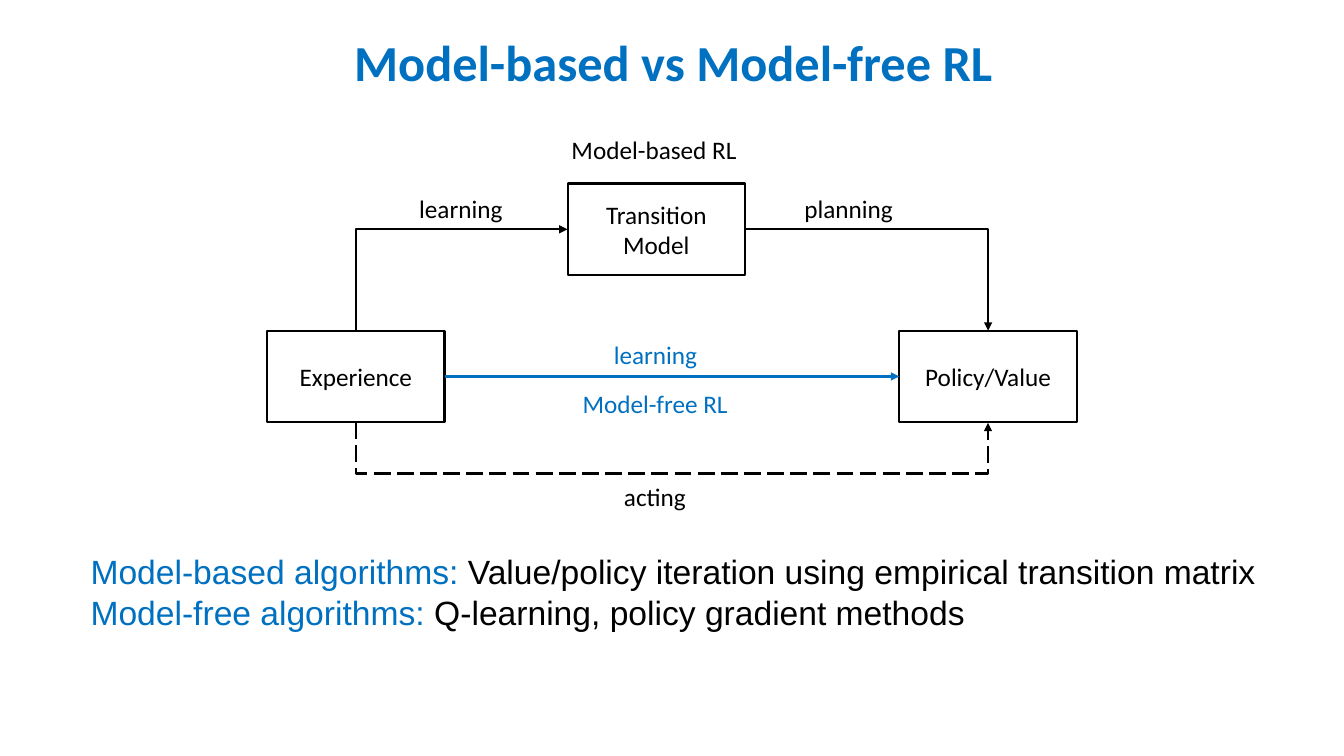
from dataclasses import dataclass

import pptx
import pptx.dml.color
import pptx.enum.dml
import pptx.enum.shapes
import pptx.enum.text
import pptx.oxml
import pptx.oxml.ns
import pptx.util
from pptx.util import Inches

TOP, LEFT, BOTTOM, RIGHT = range(4)
ALIGN = pptx.enum.text.PP_ALIGN
CONNECTOR = pptx.enum.shapes.MSO_CONNECTOR


@dataclass(frozen=True)
class Theme:
    blue: str = "0070C0"
    black: str = "000000"
    white: str = "FFFFFF"
    heading_font: str = "Calibri"
    body_font: str = "Arial"
    title_size: int = 36
    body_size: int = 24
    diagram_size: int = 18
    line_width: float = 1.5


THEME = Theme()
BOX_WIDTH, BOX_HEIGHT = 1.76, 0.91


def rgb(color):
    return pptx.dml.color.RGBColor.from_string(color)


def format_run(run, size, color, font=THEME.heading_font, bold=False):
    run.font.size = pptx.util.Pt(size)
    run.font.name = font
    run.font.bold = bold
    run.font.color.rgb = rgb(color)


def add_title(slide, text):
    textbox = slide.shapes.add_textbox(Inches(0.68), Inches(0.26), Inches(12), Inches(0.71))
    textbox.text_frame.word_wrap = True
    textbox.text_frame.text = text
    paragraph = textbox.text_frame.paragraphs[0]
    paragraph.alignment = ALIGN.CENTER
    format_run(paragraph.runs[0], THEME.title_size, THEME.blue, bold=True)


def add_summary(slide, lines):
    """Add one paragraph per (blue term, black explanation) pair."""
    textbox = slide.shapes.add_textbox(Inches(0.68), Inches(5.42), Inches(12), Inches(0.91))
    frame = textbox.text_frame
    frame.word_wrap = True
    for index, parts in enumerate(lines):
        paragraph = frame.add_paragraph() if index else frame.paragraphs[0]
        paragraph._p.get_or_add_pPr().set("marL", str(Inches(0.12)))
        for text, color in zip(parts, (THEME.blue, THEME.black)):
            run = paragraph.add_run()
            run.text = text
            format_run(run, THEME.body_size, color, THEME.body_font)


def add_box(slide, left, top, text):
    box = slide.shapes.add_shape(
        pptx.enum.shapes.MSO_SHAPE.RECTANGLE,
        Inches(left), Inches(top), Inches(BOX_WIDTH), Inches(BOX_HEIGHT))
    box.shadow.inherit = False
    box.fill.solid()
    box.fill.fore_color.rgb = rgb(THEME.white)
    box.line.color.rgb = rgb(THEME.black)
    box.line.width = pptx.util.Pt(THEME.line_width)
    frame = box.text_frame
    frame.word_wrap = True
    frame.vertical_anchor = pptx.enum.text.MSO_ANCHOR.MIDDLE
    frame.text = text
    frame.paragraphs[0].alignment = ALIGN.CENTER
    format_run(frame.paragraphs[0].runs[0], THEME.diagram_size, THEME.black)
    return box


def add_label(slide, left, top, width, text, color=THEME.black):
    label = slide.shapes.add_textbox(Inches(left), Inches(top), Inches(width), Inches(0.4))
    label.text_frame.word_wrap = False
    label.text_frame.text = text
    format_run(label.text_frame.paragraphs[0].runs[0], THEME.diagram_size, color)


def add_arrow(slide, kind, begin, end, color=THEME.black, arrow_end="tailEnd"):
    """Join two (box, side) sites; the arrowhead sits at the end, or at the begin for headEnd."""
    connector = slide.shapes.add_connector(kind, 0, 0, 0, 0)
    connector.begin_connect(*begin)
    connector.end_connect(*end)
    connector.line.color.rgb = rgb(color)
    connector.line.width = pptx.util.Pt(THEME.line_width)
    properties = connector._element.spPr
    pptx.oxml.ns.qn("a:ln")
    line = connector.line._get_or_add_ln()
    namespace = pptx.oxml.ns.nsdecls("a")
    line.append(pptx.oxml.parse_xml(f'<a:{arrow_end} {namespace} type="triangle"/>'))
    properties.append(pptx.oxml.parse_xml(f"<a:effectLst {namespace}/>"))
    return connector


def add_corner_arrow(slide, begin, end, arrow_end="tailEnd"):
    """Draw one bend: horizontal from the begin, then vertical to the end."""
    connector = add_arrow(slide, CONNECTOR.ELBOW, begin, end, arrow_end=arrow_end)
    connector._element.spPr.prstGeom.set("prst", "bentConnector2")


def add_return_arrow(slide, source, target, drop):
    """Draw a dashed arrow that runs below two boxes on the same row."""
    connector = add_arrow(slide, CONNECTOR.ELBOW, (source, BOTTOM), (target, BOTTOM))
    connector.line.dash_style = pptx.enum.dml.MSO_LINE.LONG_DASH
    span = connector.begin_x - connector.end_x
    center_x = (connector.begin_x + connector.end_x) // 2
    center_y = connector.begin_y
    thickness = Inches(0.01)
    # A quarter turn makes the elbow leave downwards; its bend is a multiple of the thickness.
    transform = connector._element.spPr.xfrm
    transform.flipH = False
    transform.set("rot", str(90 * 60000))
    connector.left, connector.top = center_x - thickness // 2, center_y - span // 2
    connector.width, connector.height = thickness, span
    bend = round(drop / thickness * 100000)
    guides = connector._element.spPr.prstGeom.get_or_add_avLst()
    guides.append(pptx.oxml.parse_xml(
        f'<a:gd {pptx.oxml.ns.nsdecls("a")} name="adj1" fmla="val {bend}"/>'))


def add_diagram(slide):
    experience = add_box(slide, 2.65, 3.28, "Experience")
    policy = add_box(slide, 8.92, 3.28, "Policy/Value")
    model = add_box(slide, 5.63, 1.82, "Transition Model")

    add_arrow(slide, CONNECTOR.STRAIGHT, (experience, RIGHT), (policy, LEFT), THEME.blue)
    add_corner_arrow(slide, (model, LEFT), (experience, TOP), arrow_end="headEnd")
    add_corner_arrow(slide, (model, RIGHT), (policy, TOP))
    add_return_arrow(slide, policy, experience, drop=Inches(0.52))

    add_label(slide, 4.06, 1.87, 1.04, "learning")
    add_label(slide, 7.88, 1.87, 1.09, "planning")
    add_label(slide, 6.09, 4.73, 0.82, "acting")
    add_label(slide, 5.99, 3.32, 1.04, "learning", THEME.blue)
    add_label(slide, 5.57, 1.28, 1.86, "Model-based RL")
    add_label(slide, 5.68, 3.8, 1.66, "Model-free RL", THEME.blue)


def main():
    presentation = pptx.Presentation()
    presentation.slide_width = Inches(13.33)
    presentation.slide_height = Inches(7.5)
    slide = presentation.slides.add_slide(presentation.slide_layouts[6])
    add_title(slide, "Model-based vs Model-free RL")
    add_summary(slide, [
        ("Model-based algorithms: ", "Value/policy iteration using empirical transition matrix"),
        ("Model-free algorithms: ", "Q-learning, policy gradient methods"),
    ])
    add_diagram(slide)
    presentation.save("out.pptx")


if __name__ == "__main__":
    main()
